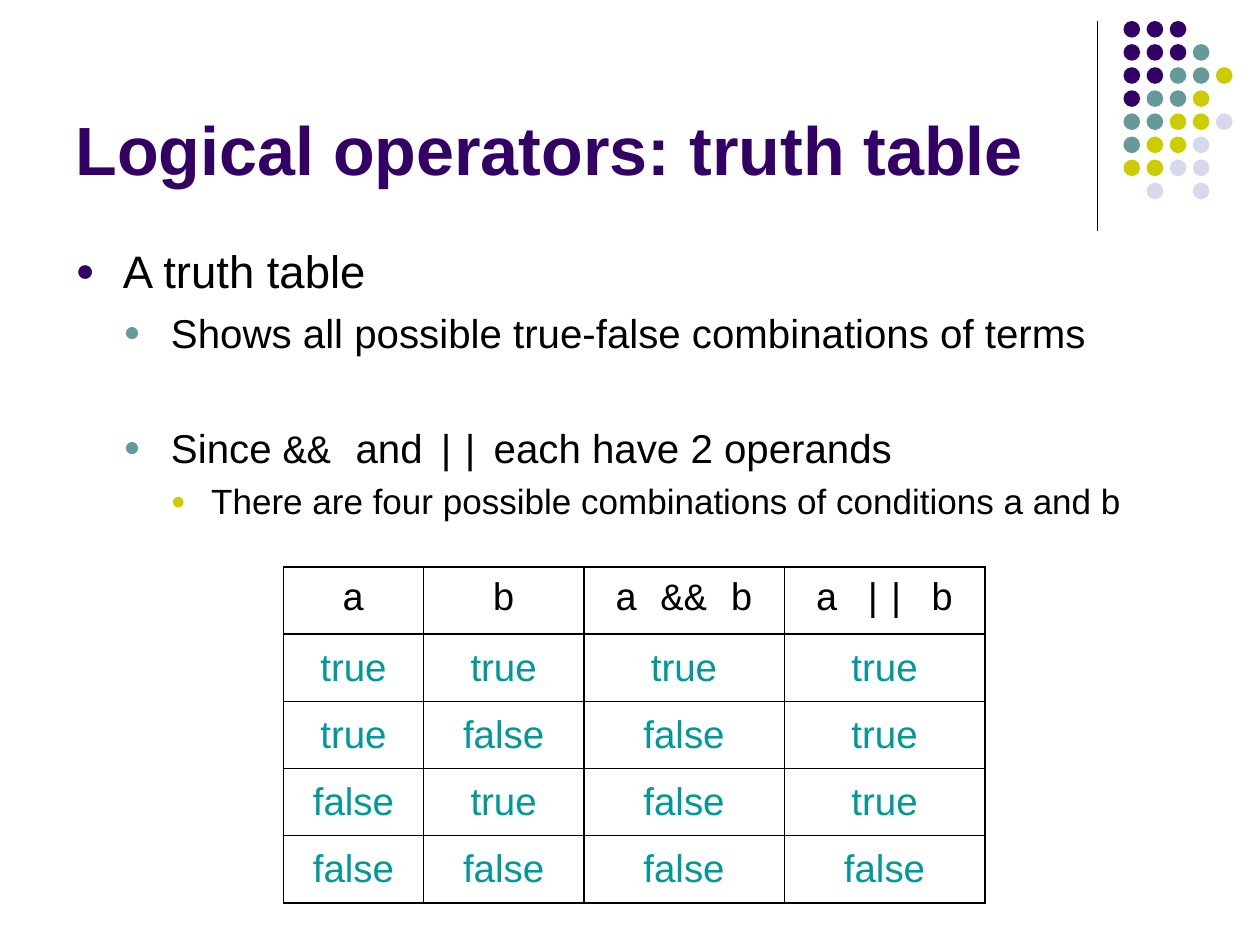
import pptx
import pptx.dml.color
import pptx.enum.shapes
import pptx.enum.text
import pptx.oxml.ns
import pptx.util
from lxml import etree

Pt = pptx.util.Pt
qn = pptx.oxml.ns.qn

COLORS = {
    "purple": "330066",
    "teal": "669999",
    "lime": "CCCC00",
    "lavender": "D8D8EC",
    "value": "009999",
    "black": "000000",
}
SANS, MONO = "Arial", "Courier New"

DOT_ROWS = ["PPP", "PPPT", "PPTTL", "PTTL", "TTLLV", "TLLV", "LLVV", " V V"]
DOT_COLORS = {"P": "purple", "T": "teal", "L": "lime", "V": "lavender"}

LEVELS = [
    dict(size=26, before=6.5, margin=27, hanging=27, bullet="purple"),
    dict(size=23, before=5.8, margin=54.5, hanging=27, bullet="teal"),
    dict(size=20, before=5, margin=77.5, hanging=23, bullet="lime"),
]
POINTS = [
    (0, 0, [("A truth table", SANS)]),
    (1, 0, [("Shows all possible true-false combinations of terms", SANS)]),
    (1, 32.2, [("Since ", SANS), ("&& ", MONO), ("and ", SANS), ("||", MONO),
               (" each have 2 operands", SANS)]),
    (2, 0, [("There are four possible combinations of conditions a and b", SANS)]),
]

TRUTH_ROWS = [
    ["a", "b", "a && b", "a || b"],
    ["true", "true", "true", "true"],
    ["true", "false", "false", "true"],
    ["false", "true", "false", "true"],
    ["false", "false", "false", "false"],
]
COLUMN_WIDTHS = [80, 91.6, 114.6, 114.6]
HEAVY_ROW_EDGES = {0, 1, 5}
HEAVY_COLUMN_EDGES = {0, 2, 4}


def rgb(name):
    return pptx.dml.color.RGBColor.from_string(COLORS[name])


def add_run(paragraph, text, font, size, color, bold=False):
    run = paragraph.add_run()
    run.text = text
    run.font.name = font
    run.font.size = Pt(size)
    run.font.bold = bold
    run.font.color.rgb = rgb(color)


def add_solid_fill(parent, color):
    fill = etree.SubElement(parent, qn("a:solidFill"))
    etree.SubElement(fill, qn("a:srgbClr"), val=COLORS[color])


def place(shape, left, top, width, height):
    shape.left, shape.top = Pt(left), Pt(top)
    shape.width, shape.height = Pt(width), Pt(height)


def draw_divider(slide, left, top, height):
    divider = slide.shapes.add_connector(
        pptx.enum.shapes.MSO_CONNECTOR.STRAIGHT,
        Pt(left), Pt(top), Pt(left), Pt(top + height))
    divider.line.color.rgb = rgb("black")
    divider.line.width = Pt(0.75)
    etree.SubElement(divider._element.spPr, qn("a:effectLst"))


def draw_dots(slide, left, top, pitch, diameter):
    dots = slide.shapes.add_group_shape()
    for row, codes in enumerate(DOT_ROWS):
        for column, code in enumerate(codes):
            if code == " ":
                continue
            dot = dots.shapes.add_shape(
                pptx.enum.shapes.MSO_SHAPE.OVAL,
                Pt(left + column * pitch), Pt(top + row * pitch),
                Pt(diameter), Pt(diameter))
            dot.shadow.inherit = False
            dot.fill.solid()
            dot.fill.fore_color.rgb = rgb(DOT_COLORS[code])
            dot.line.fill.background()


def fill_title(slide, left, top, width, height):
    title = slide.shapes.title
    place(title, left, top, width, height)
    frame = title.text_frame
    frame.auto_size = pptx.enum.text.MSO_AUTO_SIZE.NONE
    frame.vertical_anchor = pptx.enum.text.MSO_ANCHOR.BOTTOM
    heading = frame.paragraphs[0]
    heading.alignment = pptx.enum.text.PP_ALIGN.LEFT
    add_run(heading, "Logical operators: truth table", SANS, 39, "purple", True)


def set_bullet(paragraph, level):
    properties = paragraph._p.get_or_add_pPr()
    properties.set("marL", str(Pt(level["margin"])))
    properties.set("indent", str(-Pt(level["hanging"])))
    bullet_color = etree.SubElement(properties, qn("a:buClr"))
    etree.SubElement(bullet_color, qn("a:srgbClr"), val=COLORS[level["bullet"]])
    etree.SubElement(properties, qn("a:buSzPct"), val="70000")
    etree.SubElement(properties, qn("a:buFont"), typeface=SANS)
    etree.SubElement(properties, qn("a:buChar"), char="●")


def fill_points(slide, left, top, width, height):
    body = slide.placeholders[1]
    place(body, left, top, width, height)
    frame = body.text_frame
    frame.auto_size = pptx.enum.text.MSO_AUTO_SIZE.NONE
    for index, (depth, extra_gap, pieces) in enumerate(POINTS):
        level = LEVELS[depth]
        point = frame.add_paragraph() if index else frame.paragraphs[0]
        point.level = depth
        point.space_before = Pt(level["before"] + extra_gap)
        set_bullet(point, level)
        for text, font in pieces:
            add_run(point, text, font, level["size"], "black")


def set_borders(cell, row, column):
    edges = {
        "a:lnL": column in HEAVY_COLUMN_EDGES,
        "a:lnR": column + 1 in HEAVY_COLUMN_EDGES,
        "a:lnT": row in HEAVY_ROW_EDGES,
        "a:lnB": row + 1 in HEAVY_ROW_EDGES,
    }
    properties = cell._tc.get_or_add_tcPr()
    for tag, heavy in edges.items():
        border = etree.SubElement(properties, qn(tag), w=str(Pt(1.08 if heavy else 0.45)))
        add_solid_fill(border, "black")


def draw_truth_table(slide, left, top, row_height):
    table = slide.shapes.add_table(
        len(TRUTH_ROWS), len(COLUMN_WIDTHS), Pt(left), Pt(top),
        Pt(sum(COLUMN_WIDTHS)), Pt(row_height * len(TRUTH_ROWS))).table
    table.first_row = False
    table.horz_banding = False
    for column, width in enumerate(COLUMN_WIDTHS):
        table.columns[column].width = Pt(width)
    for row, values in enumerate(TRUTH_ROWS):
        font, color = (SANS, "value") if row else (MONO, "black")
        for column, value in enumerate(values):
            cell = table.cell(row, column)
            set_borders(cell, row, column)
            cell.fill.background()
            cell.vertical_anchor = pptx.enum.text.MSO_ANCHOR.MIDDLE
            entry = cell.text_frame.paragraphs[0]
            entry.alignment = pptx.enum.text.PP_ALIGN.CENTER
            entry.space_before = Pt(5.5)
            add_run(entry, value, font, 22, color)


def main():
    deck = pptx.Presentation()
    deck.slide_width, deck.slide_height = Pt(720), Pt(540)
    slide = deck.slides.add_slide(deck.slide_layouts[1])
    draw_divider(slide, 627, 12, 120)
    draw_dots(slide, 642, 12, 13.2, 9.5)
    fill_title(slide, 36, 9.5, 594, 102)
    fill_points(slide, 36, 135.5, 648, 347)
    draw_truth_table(slide, 162, 324, 38.4)
    deck.save("out.pptx")


if __name__ == "__main__":
    main()
